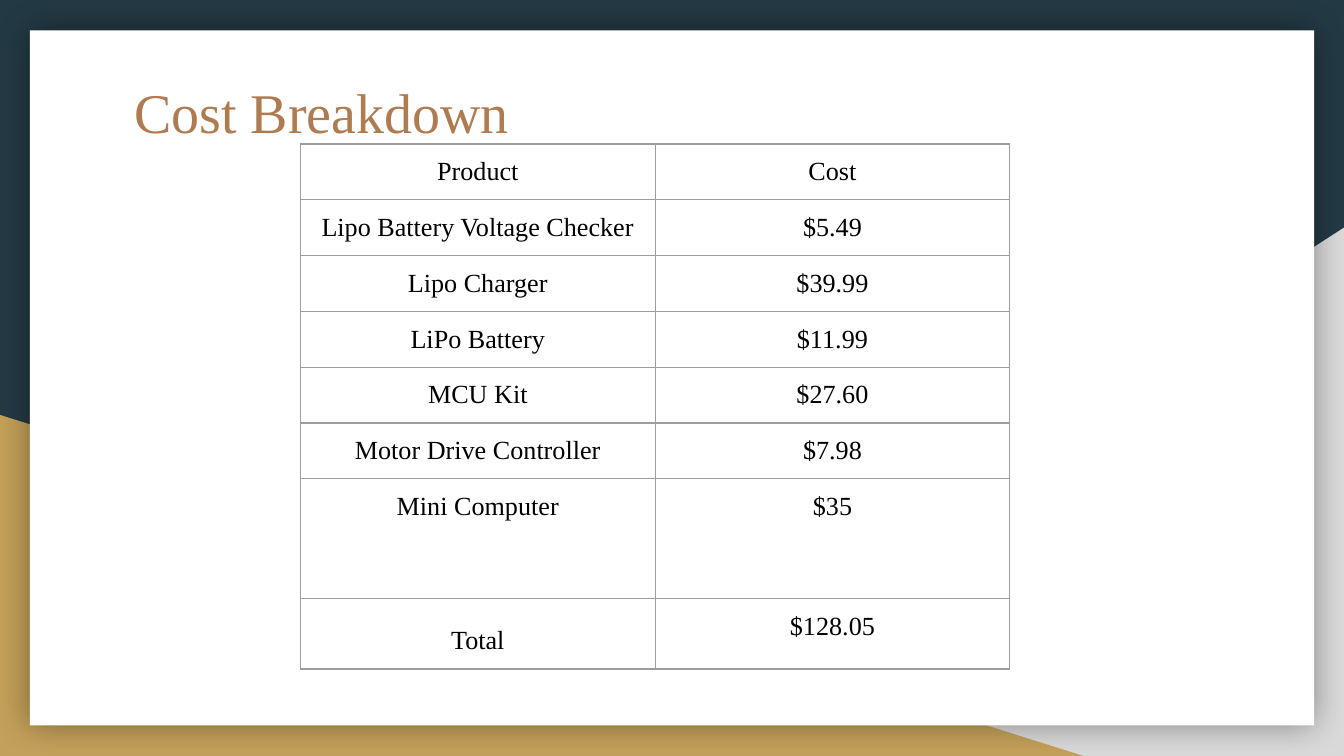
from lxml import etree
from pptx import Presentation
from pptx.dml.color import RGBColor
from pptx.enum.shapes import MSO_SHAPE
from pptx.enum.text import MSO_ANCHOR, PP_ALIGN
from pptx.oxml import parse_xml
from pptx.oxml.ns import nsdecls, qn
from pptx.util import Pt

TRIANGLE, RECTANGLE = MSO_SHAPE.RIGHT_TRIANGLE, MSO_SHAPE.RECTANGLE
CENTER, TOP, MIDDLE = PP_ALIGN.CENTER, MSO_ANCHOR.TOP, MSO_ANCHOR.MIDDLE
FONT = "Times New Roman"
INSET = Pt(7.2)


def color(hex_code):
    return RGBColor.from_string(hex_code)


def style_font(font, size, hex_code):
    font.name, font.size, font.bold = FONT, Pt(size), False
    font.color.rgb = color(hex_code)


prs = Presentation()
prs.slide_width, prs.slide_height = Pt(720), Pt(405)
slide = prs.slides.add_slide(prs.slide_layouts[5])
shapes = slide.shapes

# Background with two corner triangles and a white card
slide.background.fill.solid()
slide.background.fill.fore_color.rgb = color("233A44")
backdrop = []
for preset, left, top, width, height, fill in [
    (TRIANGLE, 282, 122, 438, 283, "D9D9D9"),
    (TRIANGLE, 0, 222.3, 580.5, 182.7, "C4A15A"),
    (RECTANGLE, 16, 16.3, 688, 372.4, "FFFFFF"),
]:
    panel = shapes.add_shape(preset, Pt(left), Pt(top), Pt(width), Pt(height))
    panel.shadow.inherit = False
    panel.fill.solid()
    panel.fill.fore_color.rgb = color(fill)
    panel.line.fill.background()
    backdrop.append(panel)
gray_corner, gold_corner, card = backdrop
gray_corner.element.spPr.find(qn("a:xfrm")).set("flipH", "1")

# Soft shadow around the card
card.element.spPr.find(qn("a:effectLst")).append(parse_xml(
    f'<a:outerShdw {nsdecls("a")} blurRad="{Pt(18)}" dist="0" algn="ctr" rotWithShape="0">'
    '<a:srgbClr val="000000"><a:alpha val="40000"/></a:srgbClr></a:outerShdw>'))

# Title, brought in front of the card
title = shapes.title
card.element.addnext(title.element)
title.left, title.top, title.width, title.height = Pt(64.8), Pt(33.4), Pt(591), Pt(52.6)
title_frame = title.text_frame
title_frame.text = "Cost Breakdown"
title_frame.vertical_anchor = MIDDLE
title_frame.margin_left = title_frame.margin_right = INSET
title_frame.margin_top = title_frame.margin_bottom = INSET
title_frame.paragraphs[0].alignment = PP_ALIGN.LEFT
style_font(title_frame.paragraphs[0].runs[0].font, 30, "AF7B51")

# Cost table
costs = [
    ("Product", "Cost"),
    ("Lipo Battery Voltage Checker", "$5.49"),
    ("Lipo Charger", "$39.99"),
    ("LiPo Battery", "$11.99"),
    ("MCU Kit", "$27.60"),
    ("Motor Drive Controller", "$7.98"),
    ("Mini Computer", "$35"),
    ("Total", "$128.05"),
]
row_heights = [29.8] * 6 + [64.2, 37.4]
table = shapes.add_table(len(costs), 2, Pt(161), Pt(77.1), Pt(380), Pt(sum(row_heights))).table
table.first_row = table.horz_banding = False
for column in table.columns:
    column.width = Pt(190)

for row, height, entries in zip(table.rows, row_heights, costs):
    row.height = Pt(height)
    for cell, entry in zip(row.cells, entries):
        cell.text_frame.text = entry
        cell.vertical_anchor = TOP
        cell.margin_left = cell.margin_right = INSET
        cell.margin_top = cell.margin_bottom = INSET
        paragraph = cell.text_frame.paragraphs[0]
        paragraph.alignment = CENTER
        if entry == "Total":
            paragraph.line_spacing = 1.5
        style_font(paragraph.runs[0].font, 14, "000000")

        # Thin gray borders come before the fill in the cell properties
        cell_properties = cell._tc.get_or_add_tcPr()
        for side in ("lnL", "lnR", "lnT", "lnB"):
            border = etree.SubElement(cell_properties, qn(f"a:{side}"), w=str(Pt(0.75)))
            border_fill = etree.SubElement(border, qn("a:solidFill"))
            etree.SubElement(border_fill, qn("a:srgbClr"), val="9E9E9E")
        cell.fill.background()

prs.save("out.pptx")
